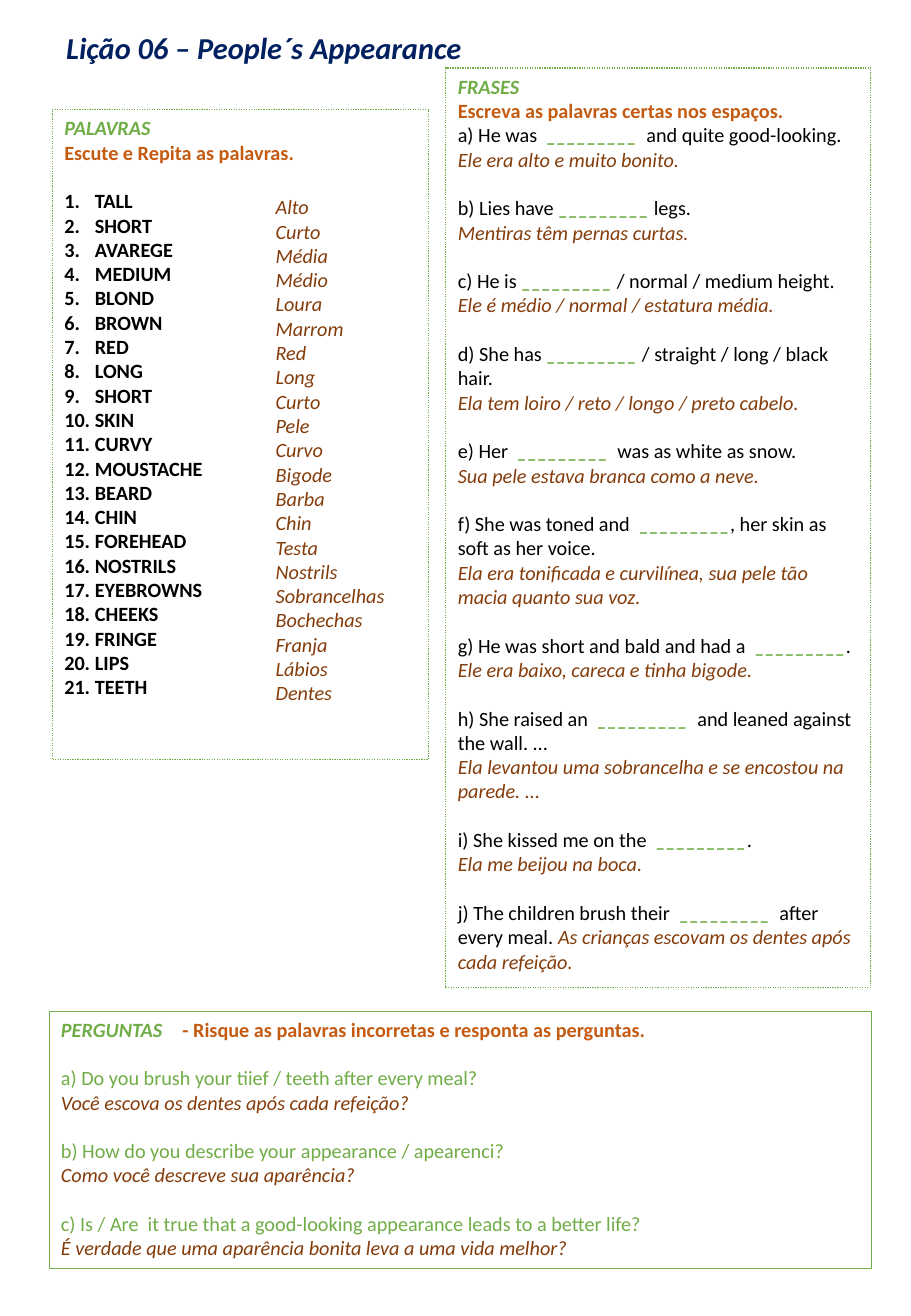
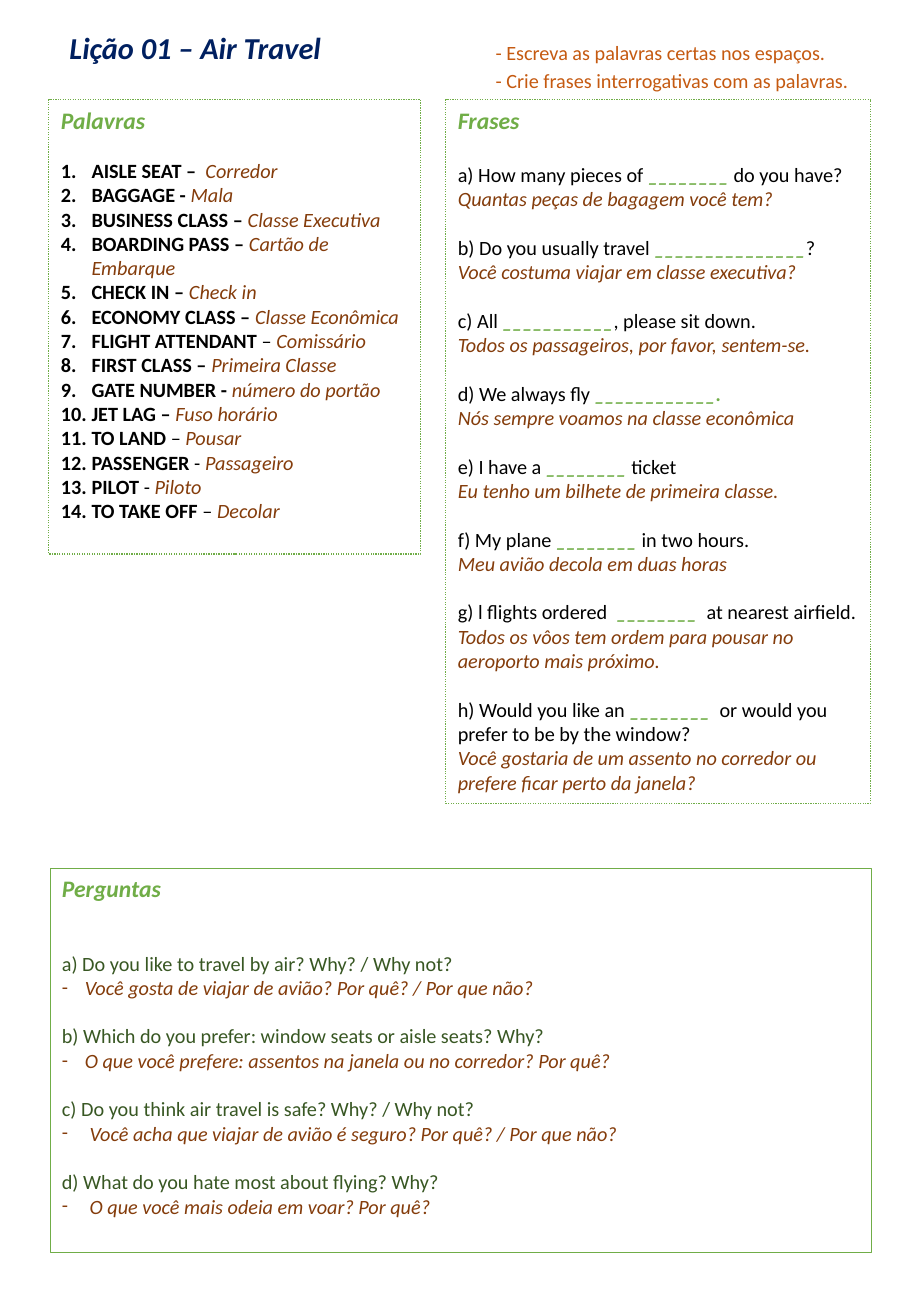
from dataclasses import dataclass

from lxml import etree
from pptx import Presentation
from pptx.dml.color import RGBColor
from pptx.enum.dml import MSO_LINE
from pptx.enum.text import MSO_ANCHOR, MSO_AUTO_SIZE, PP_ALIGN
from pptx.oxml.ns import qn
from pptx.util import Cm, Pt

TOP, NO_FIT = MSO_ANCHOR.TOP, MSO_AUTO_SIZE.NONE
LEFT, CENTER = PP_ALIGN.LEFT, PP_ALIGN.CENTER
DOTTED = MSO_LINE.ROUND_DOT
COMPARISON = 3 + 1  # layout with a title and four bodies

FONT = "Calibri"
NAVY, GREEN, DARK_GREEN = "002060", "70AD47", "385723"
ORANGE, BROWN, BLACK = "C55A11", "843C0B", "000000"
LINE = 14.4  # height of a 12 pt line, in points
NUMBER_HANG, DASH_HANG, WIDE_DASH_HANG = 0.64, 0.48, 0.58


@dataclass(frozen=True)
class Style:
    color: str
    size: int = 12
    bold: bool = False
    italic: bool = False


TITLE = Style(NAVY, 18, True, True)
HEADING = Style(GREEN, 12, True, True)
BIG_HEADING = Style(GREEN, 14, True, True)
TASK = Style(ORANGE, bold=True)
HINT = Style(ORANGE)
TERM = Style(BLACK, bold=True)
PLAIN = Style(BLACK)
BLANK = Style(GREEN, bold=True, italic=True)
TRANSLATION = Style(BROWN, italic=True)
GREEN_QUESTION = Style(GREEN)
DARK_QUESTION = Style(DARK_GREEN)


@dataclass
class Para:
    """Parts of the text are parted by | and take the styles in turn."""
    text: str
    styles: tuple[Style, ...]
    before: float = 0
    bullet: str = ""
    hang: float = 0


@dataclass
class Box:
    left: float
    top: float
    width: float
    height: float
    paras: list[Para]
    border: float = 0
    dotted: bool = False


@dataclass
class Lesson:
    title: str
    title_width: float
    boxes: list[Box]


def rgb(color: str) -> RGBColor:
    return RGBColor.from_string(color)


def set_bullet(p, para: Para) -> None:
    pPr = p._p.get_or_add_pPr()
    pPr.set("marL", str(Cm(para.hang)))
    pPr.set("indent", str(-Cm(para.hang)))
    if para.bullet == "1.":
        etree.SubElement(pPr, qn("a:buAutoNum"), type="arabicPeriod")
    elif para.bullet:
        etree.SubElement(pPr, qn("a:buFont"), typeface=FONT)
        etree.SubElement(pPr, qn("a:buChar"), char=para.bullet)
    else:
        etree.SubElement(pPr, qn("a:buNone"))


def add_run(p, text: str, style: Style) -> None:
    r = p.add_run()
    r.text = text
    formats = {"name": FONT, "size": Pt(style.size),
               "bold": style.bold, "italic": style.italic}
    for name, value in formats.items():
        setattr(r.font, name, value)
    r.font.color.rgb = rgb(style.color)


def place(sp, left: float, top: float, width: float, height: float, wrap: bool):
    """Moves a placeholder and returns its text frame, set to fixed size."""
    sp.left, sp.top, sp.width, sp.height = map(Cm, (left, top, width, height))
    tf = sp.text_frame
    formats = {"word_wrap": wrap, "auto_size": NO_FIT, "vertical_anchor": TOP}
    for name, value in formats.items():
        setattr(tf, name, value)
    return tf


def fill_box(sp, box: Box) -> None:
    tf = place(sp, box.left, box.top, box.width, box.height, True)
    if box.border:
        sp.line.color.rgb = rgb(GREEN)
        sp.line.width = Pt(box.border)
        if box.dotted:
            sp.line.dash_style = DOTTED
    for i, para in enumerate(box.paras):
        p = tf.add_paragraph() if i else tf.paragraphs[0]
        set_bullet(p, para)
        p.alignment = LEFT
        p.space_before = Pt(para.before)
        for text, style in zip(para.text.split("|"), para.styles):
            if text:
                add_run(p, text, style)


def add_lesson(prs, lesson: Lesson) -> None:
    s = prs.slides.add_slide(prs.slide_layouts[COMPARISON])
    tf = place(s.shapes.title, 1.09, 0.43, lesson.title_width, 1.09, False)
    p = tf.paragraphs[0]
    p.alignment = CENTER
    p.line_spacing = 1.07
    add_run(p, lesson.title, TITLE)
    for idx, box in enumerate(lesson.boxes, 1):
        fill_box(s.placeholders[idx], box)


def numbered(items: list[str]) -> list[Para]:
    """Each item is term|dash|translation; a gap stands above the list."""
    return [Para(item, (TERM, PLAIN, TRANSLATION), 0 if i else LINE, "1.", NUMBER_HANG)
            for i, item in enumerate(items)]


def sentences(pairs: list[tuple[str, str]], first_gap: float) -> list[Para]:
    paras = []
    for i, (sentence, translation) in enumerate(pairs):
        paras.append(Para(sentence, (PLAIN, BLANK, PLAIN, TRANSLATION),
                          LINE if i else first_gap))
        if translation:
            paras.append(Para(translation, (TRANSLATION,)))
    return paras


def questions(pairs: list[tuple[str, str]], style: Style, first_gap: float,
              bullet: str = "", hangs: tuple[float, ...] = (0, 0, 0)) -> list[Para]:
    paras = []
    for i, ((question, translation), hang) in enumerate(zip(pairs, hangs)):
        paras += [Para(question, (style,), LINE if i else first_gap),
                  Para(translation, (TRANSLATION,), 0, bullet, hang)]
    return paras


APPEARANCE_WORDS = [
    ("TALL", "Alto"), ("SHORT", "Curto"), ("AVAREGE", "Média"), ("MEDIUM", "Médio"),
    ("BLOND", "Loura"), ("BROWN", "Marrom"), ("RED", "Red"), ("LONG", "Long"),
    ("SHORT", "Curto"), ("SKIN", "Pele"), ("CURVY", "Curvo"), ("MOUSTACHE", "Bigode"),
    ("BEARD", "Barba"), ("CHIN", "Chin"), ("FOREHEAD", "Testa"),
    ("NOSTRILS", "Nostrils"), ("EYEBROWNS", "Sobrancelhas"), ("CHEEKS", "Bochechas"),
    ("FRINGE", "Franja"), ("LIPS", "Lábios"), ("TEETH", "Dentes"),
]
APPEARANCE_SENTENCES = [
    ("a) He was  |_________ | and quite good-looking.", "Ele era alto e muito bonito."),
    ("b) Lies have |_________ |legs.", "Mentiras têm pernas curtas."),
    ("c) He is |_________ |/ normal / medium height.",
     "Ele é médio / normal / estatura média."),
    ("d) She has |_________ |/ straight / long / black hair.",
     "Ela tem loiro / reto / longo / preto cabelo."),
    ("e) Her | _________ | was as white as snow.", "Sua pele estava branca como a neve."),
    ("f) She was toned and | _________|, her skin as soft as her voice.",
     "Ela era tonificada e curvilínea, sua pele tão macia quanto sua voz."),
    ("g) He was short and bald and had a | _________|.",
     "Ele era baixo, careca e tinha bigode."),
    ("h) She raised an | _________ | and leaned against the wall. ...",
     "Ela levantou uma sobrancelha e se encostou na parede. ..."),
    ("i) She kissed me on the | _________|.", "Ela me beijou na boca."),
    ("j) The children brush their | _________ | after every meal. "
     "|As crianças escovam os dentes após cada refeição.", ""),
]
APPEARANCE_QUESTIONS = [
    ("a) Do you brush your tiief / teeth after every meal?",
     "Você escova os dentes após cada refeição?"),
    ("b) How do you describe your appearance / apearenci?",
     "Como você descreve sua aparência?"),
    ("c) Is / Are  it true that a good-looking appearance leads to a better life?",
     "É verdade que uma aparência bonita leva a uma vida melhor?"),
]
TRAVEL_WORDS = [
    "AISLE SEAT –  ||Corredor", "BAGGAGE - ||Mala", "BUSINESS CLASS – ||Classe Executiva",
    "BOARDING PASS – ||Cartão de Embarque", "CHECK IN – ||Check in",
    "ECONOMY CLASS – ||Classe Econômica", "FLIGHT ATTENDANT |– |Comissário",
    "FIRST CLASS – ||Primeira Classe", "GATE NUMBER - ||número do portão",
    "JET LAG – ||Fuso horário", "TO LAND |– |Pousar", "PASSENGER| - |Passageiro",
    "PILOT |- |Piloto", "TO TAKE OFF |– |Decolar",
]
TRAVEL_SENTENCES = [
    ("a) How many pieces of |________ |do you have?", "Quantas peças de bagagem você tem?"),
    ("b) Do you usually travel |_______________|?",
     "Você costuma viajar em classe executiva?"),
    ("c) All |___________|, please sit down.",
     "Todos os passageiros, por favor, sentem-se."),
    ("d) We always fly |____________.", "Nós sempre voamos na classe econômica"),
    ("e) I have a |________ |ticket", "Eu tenho um bilhete de primeira classe."),
    ("f) My plane |________ |in two hours.", "Meu avião decola em duas horas"),
    ("g) l flights ordered | ________  |at nearest airfield.",
     "Todos os vôos tem ordem para pousar no aeroporto mais próximo."),
    ("h) Would you like an |________ | or would you prefer to be by the window?",
     "Você gostaria de um assento no corredor ou prefere ficar perto da janela?"),
]
TRAVEL_QUESTIONS = [
    ("a) Do you like to travel by air? Why? / Why not?",
     "Você gosta de viajar de avião? Por quê? / Por que não?"),
    ("b) Which do you prefer: window seats or aisle seats? Why?",
     "O que você prefere: assentos na janela ou no corredor? Por quê?"),
    ("c) Do you think air travel is safe? Why? / Why not?",
     "Você acha que viajar de avião é seguro? Por quê? / Por que não?"),
    ("d) What do you hate most about flying? Why?",
     "O que você mais odeia em voar? Por quê?"),
]

LESSONS = [
    Lesson("Lição 06 – People´s Appearance", 8.86, [
        Box(1.09, 2.29, 7.87, 13.59,
            [Para("PALAVRAS", (HEADING,)), Para("Escute e Repita as palavras.", (TASK,)),
             *numbered([word for word, _ in APPEARANCE_WORDS])], 0.75, True),
        Box(5.51, 3.94, 2.92, 11.02,
            [Para(meaning, (TRANSLATION,)) for _, meaning in APPEARANCE_WORDS]),
        Box(9.32, 1.42, 8.89, 19.23,
            [Para("FRASES", (HEADING,)),
             Para("Escreva as palavras certas nos espaços.", (TASK,)),
             *sentences(APPEARANCE_SENTENCES, 0)], 0.75, True),
        Box(1.02, 21.13, 17.2, 5.38,
            [Para("PERGUNTAS \t|- Risque as palavras incorretas e responta as perguntas.",
                  (HEADING, TASK)),
             *questions(APPEARANCE_QUESTIONS, GREEN_QUESTION, LINE)], 0.25),
    ]),
    Lesson("Lição 01 – Air Travel", 5.99, [
        Box(1.02, 2.08, 7.77, 9.5,
            [Para("Palavras", (BIG_HEADING,)), *numbered(TRAVEL_WORDS)], 0.75, True),
        Box(9.32, 2.08, 8.89, 14.71,
            [Para("Frases", (BIG_HEADING,)), *sentences(TRAVEL_SENTENCES, 16.8)],
            0.75, True),
        Box(1.04, 18.14, 17.17, 8.03,
            [Para("Perguntas", (BIG_HEADING,)),
             *questions(TRAVEL_QUESTIONS, DARK_QUESTION, 2 * LINE, "-",
                        (DASH_HANG,) * 2 + (WIDE_DASH_HANG,) * 2)], 0.25),
        Box(10.11, 0.71, 8.6, 1.34,
            [Para("- Escreva as palavras certas nos espaços.", (HINT,)),
             Para("- Crie frases interrogativas com as palavras.", (HINT,), 2.2)]),
    ]),
]


def main() -> None:
    prs = Presentation()
    prs.slide_width, prs.slide_height = Cm(19.05), Cm(27.51)
    for lesson in LESSONS:
        add_lesson(prs, lesson)
    prs.save("out.pptx")


if __name__ == "__main__":
    main()
